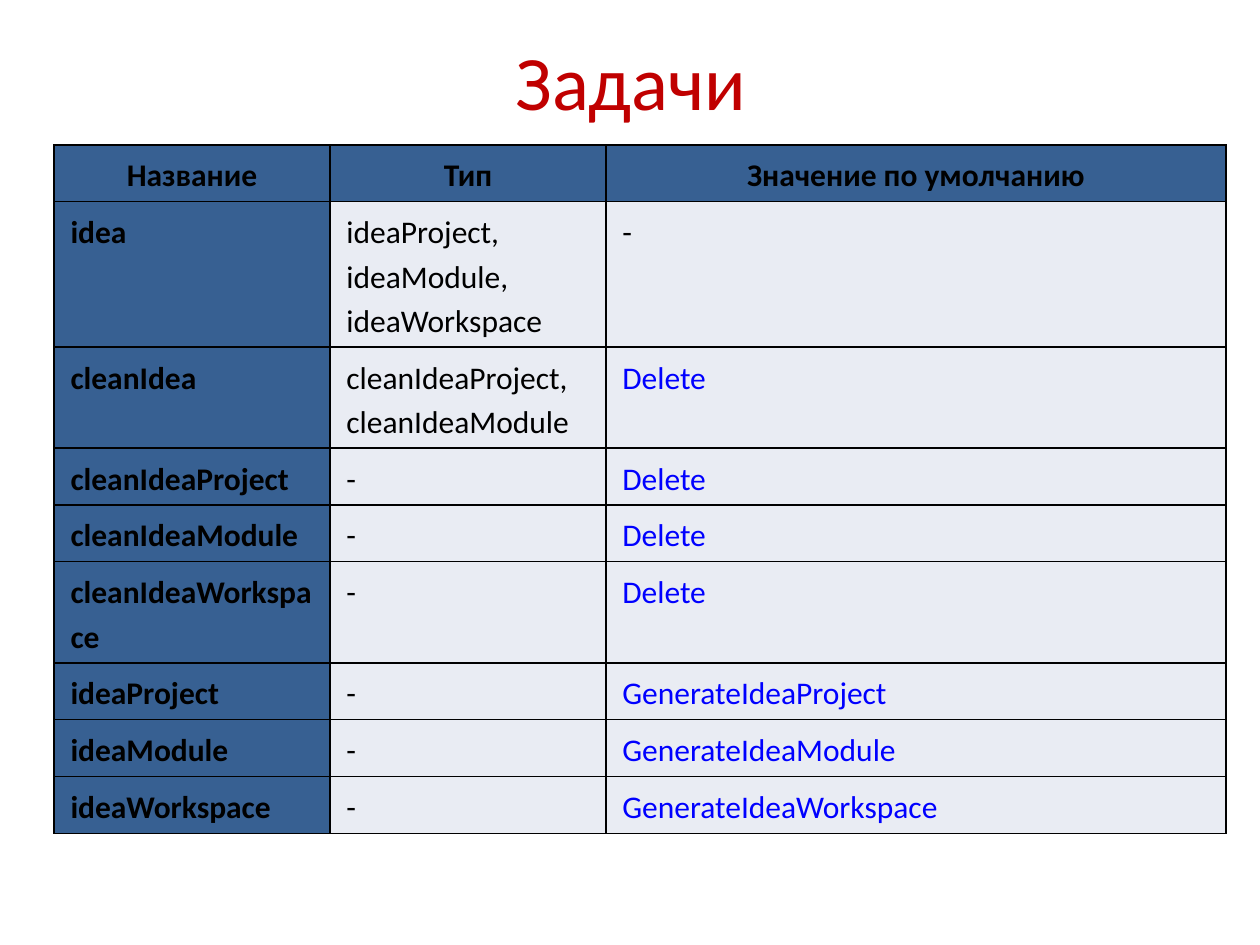
from dataclasses import dataclass

from lxml.etree import SubElement
from pptx import Presentation
from pptx.dml.color import RGBColor
from pptx.enum.text import MSO_ANCHOR, PP_ALIGN
from pptx.oxml.ns import qn
from pptx.table import _Cell as Cell
from pptx.text.text import TextFrame
from pptx.util import Inches, Pt

BLACK = RGBColor(0x00, 0x00, 0x00)
RED = RGBColor(0xC0, 0x00, 0x00)
LINK_BLUE = RGBColor(0x00, 0x00, 0xFF)
HEADER_BLUE = RGBColor(0x37, 0x60, 0x92)
PALE = RGBColor(0xE9, 0xEC, 0xF3)

FONT = "Calibri"
BORDER_WIDTH = Pt(0.96)
COLUMN_WIDTHS = (2.19, 2.19, 4.92)
ROW_HEIGHTS = {1: 0.45, 2: 0.8, 3: 1.15}  # by number of text lines


@dataclass
class Task:
    name: str
    default: str
    types: tuple[str, ...] = ("-",)
    lines: int = 1


HEADERS = ("Название", "Тип", "Значение по умолчанию")
TASKS = (
    Task("idea", "-", ("ideaProject,", "ideaModule,", "ideaWorkspace"), 3),
    Task("cleanIdea", "Delete", ("cleanIdeaProject,", "cleanIdeaModule"), 2),
    Task("cleanIdeaProject", "Delete"),
    Task("cleanIdeaModule", "Delete"),
    Task("cleanIdeaWorkspace", "Delete", lines=2),
    Task("ideaProject", "GenerateIdeaProject"),
    Task("ideaModule", "GenerateIdeaModule"),
    Task("ideaWorkspace", "GenerateIdeaWorkspace"),
)


def write(frame: TextFrame, *lines: str, size: float = 18, color: RGBColor = BLACK,
          bold: bool = False, align: PP_ALIGN = PP_ALIGN.LEFT,
          spacing: float = 1.15) -> None:
    """Put each line in a paragraph of its own."""
    for index, line in enumerate(lines):
        para = frame.add_paragraph() if index else frame.paragraphs[0]
        para.alignment = align
        para.line_spacing = spacing
        span = para.add_run()
        span.text = line
        span.font.name = FONT
        span.font.size = Pt(size)
        span.font.bold = bold
        span.font.color.rgb = color


def add_borders(cell: Cell) -> None:
    properties = cell._tc.get_or_add_tcPr()
    for side in ("lnL", "lnR", "lnT", "lnB"):
        line = SubElement(properties, qn(f"a:{side}"), w=str(BORDER_WIDTH))
        fill = SubElement(line, qn("a:solidFill"))
        SubElement(fill, qn("a:srgbClr"), val=str(BLACK))


def fill_cell(cell: Cell, *lines: str, fill: RGBColor = PALE, **text_format) -> None:
    add_borders(cell)
    cell.fill.solid()
    cell.fill.fore_color.rgb = fill
    cell.margin_left = cell.margin_right = Inches(0.13)
    cell.margin_top = cell.margin_bottom = Inches(0.05)
    write(cell.text_frame, *lines, **text_format)


def add_title(page) -> None:
    title = page.shapes.title
    title.left, title.top = Inches(0.51), Inches(0.21)
    title.width, title.height = Inches(9), Inches(0.85)
    title.text_frame.vertical_anchor = MSO_ANCHOR.MIDDLE
    write(title.text_frame, "Задачи", size=44, color=RED,
          align=PP_ALIGN.CENTER, spacing=1.0)


def add_task_table(page) -> None:
    heights = [ROW_HEIGHTS[1]] + [ROW_HEIGHTS[task.lines] for task in TASKS]
    table = page.shapes.add_table(
        len(heights), len(COLUMN_WIDTHS), Inches(0.43), Inches(1.15),
        Inches(sum(COLUMN_WIDTHS)), Inches(sum(heights))).table
    for column, width in zip(table.columns, COLUMN_WIDTHS):
        column.width = Inches(width)
    for row, height in zip(table.rows, heights):
        row.height = Inches(height)

    for column, header in enumerate(HEADERS):
        fill_cell(table.cell(0, column), header, fill=HEADER_BLUE,
                  bold=True, align=PP_ALIGN.CENTER)
    for row, task in enumerate(TASKS, start=1):
        fill_cell(table.cell(row, 0), task.name, fill=HEADER_BLUE, bold=True)
        fill_cell(table.cell(row, 1), *task.types)
        fill_cell(table.cell(row, 2), task.default,
                  color=BLACK if task.default == "-" else LINK_BLUE)


def main() -> None:
    deck = Presentation()
    deck.slide_width, deck.slide_height = Inches(10), Inches(7.5)
    page = deck.slides.add_slide(deck.slide_layouts[5])
    add_title(page)
    add_task_table(page)
    deck.save("out.pptx")


if __name__ == "__main__":
    main()
